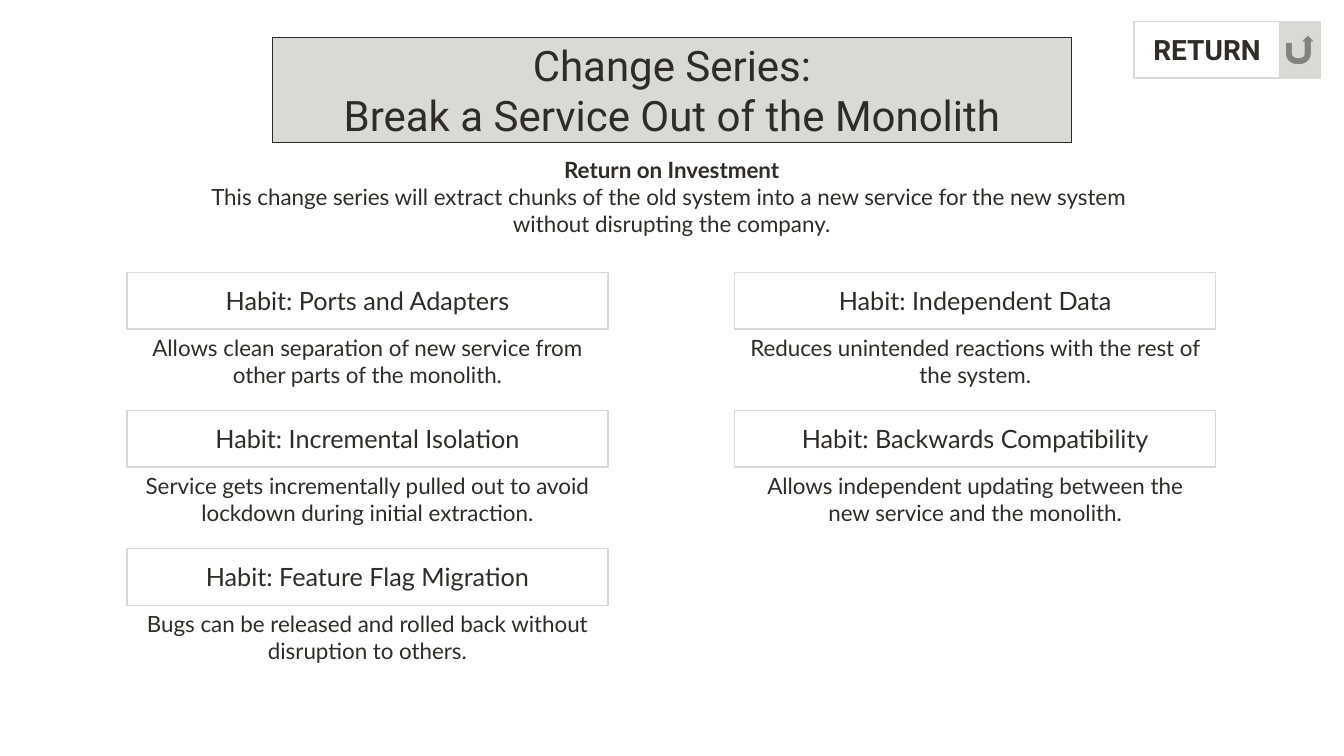
import dataclasses

import pptx
import pptx.dml.color
import pptx.enum.shapes
import pptx.enum.text
import pptx.util

Pt = pptx.util.Pt
SHAPES = pptx.enum.shapes.MSO_SHAPE
ANCHOR = pptx.enum.text.MSO_ANCHOR
FIT = pptx.enum.text.MSO_AUTO_SIZE
CENTER = pptx.enum.text.PP_ALIGN.CENTER


@dataclasses.dataclass(frozen=True)
class Theme:
    ink: str = "2F2C27"
    stone: str = "D9D9D6"
    heading_font: str = "Roboto"
    body_font: str = "Lato"
    title_size: int = 30
    button_size: int = 20
    habit_size: int = 18
    body_size: int = 16


THEME = Theme()

TITLE = ["Change Series:", "Break a Service Out of the Monolith"]
BENEFIT_HEADING = "Return on Investment"
BENEFIT_LINES = [
    "This change series will extract chunks of the old system into a new service for the new system ",
    "without disrupting the company.",
]
HABIT_COLUMNS = [
    [
        ("Ports and Adapters",
         "Allows clean separation of new service from other parts of the monolith."),
        ("Incremental Isolation",
         "Service gets incrementally pulled out to avoid lockdown during initial extraction."),
        ("Feature Flag Migration",
         "Bugs can be released and rolled back without disruption to others."),
    ],
    [
        ("Independent Data",
         "Reduces unintended reactions with the rest of the system."),
        ("Backwards Compatibility",
         "Allows independent updating between the new service and the monolith."),
    ],
]

COLUMN_LEFTS = (90.8, 524.9)
FIRST_ROW_TOP = 194.6
ROW_PITCH = 98.6
HABIT_WIDTH = 343.5
HABIT_HEIGHT = 40.5
REASON_HEIGHT = 46


def color(code):
    return pptx.dml.color.RGBColor.from_string(code)


def apply_format(target, values):
    for name, value in values.items():
        setattr(target, name, value)


def place(shape, left, top, width, height):
    apply_format(shape, {"left": Pt(left), "top": Pt(top),
                         "width": Pt(width), "height": Pt(height)})


def paint(shape, fill, line):
    """Give the shape a one-point outline and a fill; no fill when it is None."""
    if fill:
        shape.fill.solid()
        shape.fill.fore_color.rgb = color(fill)
    else:
        shape.fill.background()
    shape.line.color.rgb = color(line)
    shape.line.width = Pt(1)


def write(shape, lines, size, font, anchor=ANCHOR.MIDDLE, fit=FIT.NONE, bold_lines=0):
    """Fill the shape with centred lines, the first bold_lines of them in bold."""
    frame = shape.text_frame
    apply_format(frame, {"word_wrap": True, "auto_size": fit, "vertical_anchor": anchor,
                         "margin_left": Pt(7.2), "margin_right": Pt(7.2),
                         "margin_top": Pt(3.6), "margin_bottom": Pt(3.6)})
    for index, line in enumerate(lines):
        para = frame.paragraphs[0] if index == 0 else frame.add_paragraph()
        para.alignment = CENTER
        span = para.add_run()
        span.text = line
        apply_format(span.font, {"size": Pt(size), "name": font, "bold": index < bold_lines})
        span.font.color.rgb = color(THEME.ink)


def add_panel(shapes, kind, area, fill=None):
    panel = shapes.add_shape(kind, *map(Pt, area))
    panel.shadow.inherit = False
    paint(panel, fill, THEME.stone)
    return panel


def add_body_text(shapes, area, lines, bold_lines=0):
    box = shapes.add_textbox(*map(Pt, area))
    write(box, lines, THEME.body_size, THEME.body_font, ANCHOR.TOP,
          FIT.SHAPE_TO_FIT_TEXT, bold_lines)


def add_title(page):
    title = page.shapes.title
    place(title, 194.6, 26.8, 571, 75)
    paint(title, THEME.stone, THEME.ink)
    write(title, TITLE, THEME.title_size, THEME.heading_font)


def add_return_button(page):
    label = add_panel(page.shapes, SHAPES.RECTANGLE, (810, 15.2, 104.4, 40.5))
    write(label, ["RETURN"], THEME.button_size, THEME.heading_font, bold_lines=1)
    add_panel(page.shapes, SHAPES.ACTION_BUTTON_RETURN, (914.4, 15.2, 28.8, 40.5), THEME.stone)


def add_habit(page, left, top, name, reason):
    group = page.shapes.add_group_shape()
    header = add_panel(group.shapes, SHAPES.RECTANGLE, (left, top, HABIT_WIDTH, HABIT_HEIGHT))
    write(header, [f"Habit: {name}"], THEME.habit_size, THEME.body_font)
    add_body_text(group.shapes, (left, top + HABIT_HEIGHT, HABIT_WIDTH, REASON_HEIGHT), [reason])


def main():
    deck = pptx.Presentation()
    apply_format(deck, {"slide_width": Pt(960), "slide_height": Pt(540)})
    page = deck.slides.add_slide(deck.slide_layouts.get_by_name("Title Only"))
    add_title(page)
    add_body_text(page.shapes, (91.4, 108, 776.9, 65.5),
                  [BENEFIT_HEADING, *BENEFIT_LINES], bold_lines=1)
    add_return_button(page)
    for left, habits in zip(COLUMN_LEFTS, HABIT_COLUMNS):
        for row, (name, reason) in enumerate(habits):
            add_habit(page, left, FIRST_ROW_TOP + row * ROW_PITCH, name, reason)
    deck.save("out.pptx")


if __name__ == "__main__":
    main()
